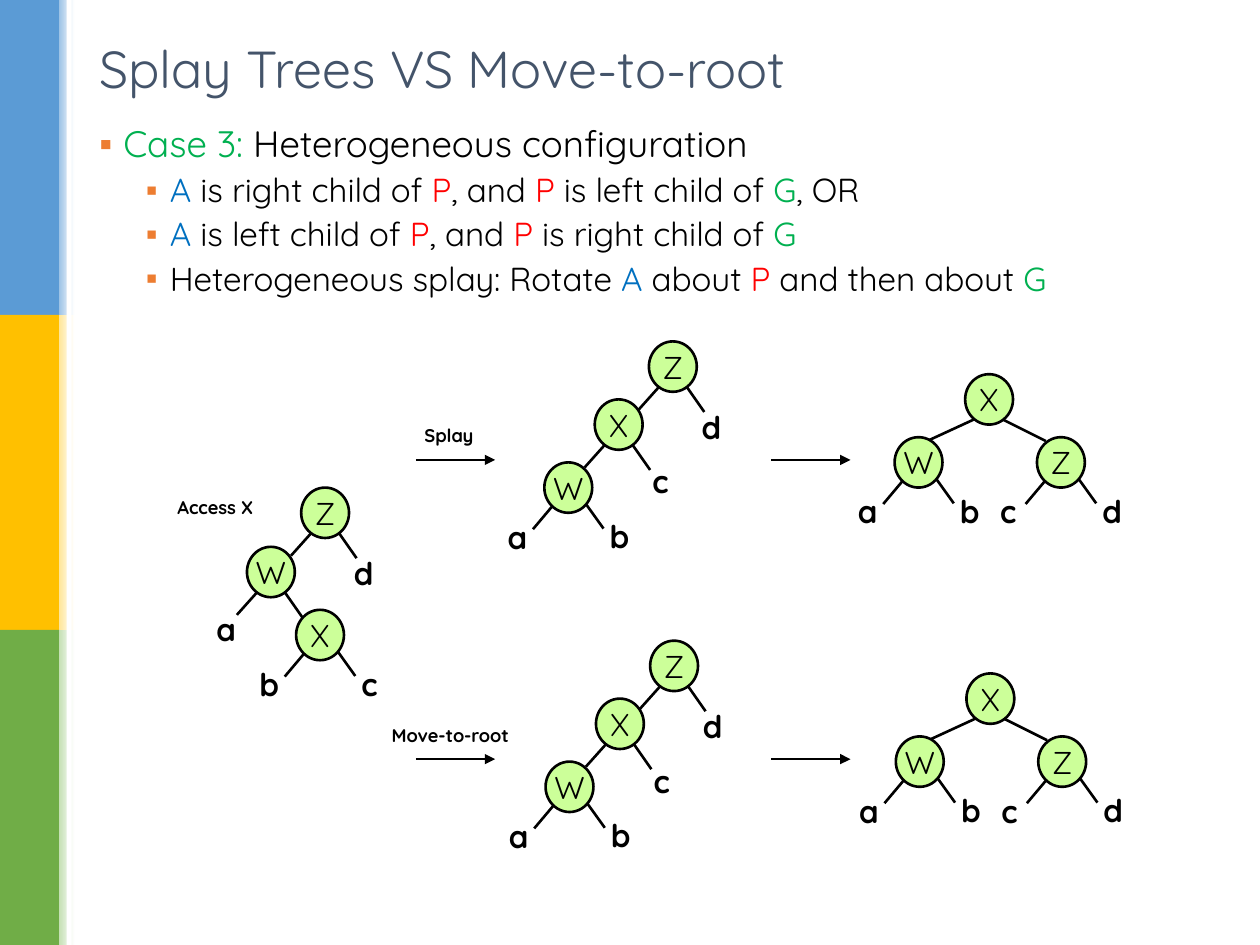
from lxml.etree import SubElement as Sub
from pptx import Presentation
from pptx.dml.color import RGBColor as RGB
from pptx.enum.shapes import MSO_CONNECTOR as LINK, MSO_SHAPE as FORM
from pptx.enum.text import MSO_ANCHOR as ANCHOR, PP_ALIGN as ALIGN
from pptx.oxml.ns import qn
from pptx.util import Inches, Pt

BLACK, WHITE = RGB(0, 0, 0), RGB(255, 255, 255)
SLATE, LIME = RGB(0x44, 0x54, 0x6A), RGB(0xCC, 0xFF, 0x99)
BLUE, RED, GREEN = RGB(0, 0x70, 0xC0), RGB(255, 0, 0), RGB(0, 0xB0, 0x50)
BARS = [
    (RGB(0x5B, 0x9B, 0xD5), RGB(0x9D, 0xC3, 0xE6)),
    (RGB(0xFF, 0xC0, 0x00), RGB(0xFF, 0xE6, 0x99)),
    (RGB(0x70, 0xAD, 0x47), RGB(0xC5, 0xE0, 0xB4)),
]
FONT = "Quicksand"

deck = Presentation()
deck.slide_width, deck.slide_height = Inches(10), Inches(7.5)
CELL = deck.slide_width // 1000  # the slide is a grid of 1000 by 750 cells
slide = deck.slides.add_slide(deck.slide_layouts[6])
shapes = slide.shapes


def write(text, size, left, top, wide, high, bold=True, color=BLACK):
    """Add a one-line text box and return its frame."""
    frame = shapes.add_textbox(left * CELL, top * CELL, wide * CELL, high * CELL).text_frame
    frame.word_wrap = False
    para = frame.paragraphs[0]
    para.text = text
    font = para.font
    font.name, font.size, font.bold = FONT, Pt(size), bold
    font.color.rgb = color
    return frame


def link(left, top, dx, dy, arrow=False):
    """Draw a line from (left, top) that runs dx across and dy down."""
    line = shapes.add_connector(
        LINK.STRAIGHT, left * CELL, top * CELL, (left + dx) * CELL, (top + dy) * CELL
    )
    line.line.color.rgb, line.line.width = BLACK, Pt(1.5)
    props = line._element.spPr
    if arrow:
        Sub(line.line._get_or_add_ln(), qn("a:tailEnd"), type="triangle")
    Sub(props, qn("a:effectLst"))


# Side bars, each with a fading edge, and a white strip over the edges
for row, (deep, pale) in enumerate(BARS):
    for left, wide in ((0, 47), (47, 12)):
        bar = shapes.add_shape(FORM.RECTANGLE, left * CELL, row * 250 * CELL, wide * CELL, 250 * CELL)
        bar.shadow.inherit = False
        bar.line.fill.background()
        if left:
            bar.fill.gradient()
            bar.fill.gradient_angle = 0
            for stop, tint in zip(bar.fill.gradient_stops, (pale, WHITE)):
                stop.color.rgb = tint
        else:
            bar.fill.solid()
            bar.fill.fore_color.rgb = deep
strip = shapes.add_shape(FORM.RECTANGLE, 53 * CELL, 0, 4 * CELL, 750 * CELL)
strip.shadow.inherit = False
strip.fill.solid()
strip.fill.fore_color.rgb = WHITE
strip.line.fill.background()

# Title and bullets
title = write("Splay Trees VS Move-to-root", 29.7, 69, 26, 612, 56, False, SLATE)
title.word_wrap = True
title.vertical_anchor = ANCHOR.MIDDLE

A, P, G = ("A", BLUE), ("P", RED), ("G", GREEN)
BULLETS = [
    (0, [("Case 3: ", GREEN), "Heterogeneous configuration"]),
    (1, [A, " is right child of ", P, ", and ", P, " is left child of ", G, ", OR"]),
    (1, [A, " is left child of ", P, ", and ", P, " is right child of ", G]),
    (1, ["Heterogeneous splay: Rotate ", A, " about ", P, " and then about ", G]),
]
body = shapes.add_textbox(69 * CELL, 95 * CELL, 874 * CELL, 644 * CELL).text_frame
body.word_wrap = True
for row, (level, parts) in enumerate(BULLETS):
    para = body.add_paragraph() if row else body.paragraphs[0]
    para.level = level
    para.line_spacing = 0.9
    para.space_before = Pt(4.8 if row else 0)
    para.font.name, para.font.size = FONT, Pt(19 if level else 21)
    props = para._p.get_or_add_pPr()
    props.set("marL", str((56 if level else 19) * CELL))
    props.set("indent", str(-19 * CELL))
    mark = Sub(props, qn("a:buClr"))
    Sub(mark, qn("a:srgbClr"), val="ED7D31")
    Sub(props, qn("a:buFont"), typeface="Arial")
    Sub(props, qn("a:buChar"), char="▪")
    props.append(props.find(qn("a:defRPr")))  # the schema wants it last
    for part in parts:
        text, color = (part, BLACK) if isinstance(part, str) else part
        run = para.add_run()
        run.text = text
        run.font.name, run.font.size = FONT, para.font.size
        run.font.color.rgb = color

# Trees: node, offset from the root, left and right leaf ("" leads to a node)
START = [("Z", 0, 0, "", "d"), ("W", -43, 47, "a", ""), ("X", -4, 97, "b", "c")]
CHAIN = [("Z", 0, 0, "", "d"), ("X", -43, 46, "", "c"), ("W", -83, 96, "a", "b")]
FINAL = [("X", 0, 0, "", ""), ("W", -56, 50, "a", "b"), ("Z", 57, 50, "c", "d")]
DROP = 237.5  # from the splay row to the move-to-root row
trees = [(START, 239, 387)]
for row in range(2):
    trees += [(CHAIN, 515 + row, 271 + row * DROP), (FINAL, 766 + row, 297 + row * DROP)]
    for left in (330, 612):
        link(left, 365 + row * DROP, 63, 0, arrow=True)

for tree, left, top in trees:
    for name, dx, dy, near, far in tree:
        x, y = left + dx, top + dy
        # branch start and run, left then right, and the places of the leaves
        if near and far:
            sides = [(7, 34, -16, 19), (33, 33, 14, 19.5)]
            spots = [(-39, 39), (42, 38.5)]
        else:
            sides = [(9, 35, -17, 19), (30, 36, 14, 20)]
            spots = [(-34, 45), (32, 48) if name == "Z" else (36, 45)]
        if not near and not far:
            sides = [(9, 35, -38, 17.5), (30, 36, 34, 17)]
        for (ox, oy, run, fall), (lx, ly), leaf in zip(sides, spots, (near, far)):
            link(x + ox, y + oy, run, fall)
            if leaf:
                write(leaf, 18, x + lx, y + ly, 37, 40)
        node = shapes.add_shape(FORM.OVAL, *(int(n * CELL) for n in (x, y, 38, 40)))
        node.shadow.inherit = False
        node.fill.solid()
        node.fill.fore_color.rgb = LIME
        node.line.color.rgb, node.line.width = BLACK, Pt(1.5)
        frame = node.text_frame
        frame.word_wrap = False
        frame.vertical_anchor = ANCHOR.MIDDLE
        para = frame.paragraphs[0]
        para.text, para.alignment = name, ALIGN.CENTER
        para.font.name, para.font.size = FONT, Pt(18)
        para.font.color.rgb = BLACK

for text, left, top, wide in (
    ("Access X", 131, 389, 87),
    ("Splay", 327, 332, 59),
    ("Move-to-root", 301, 570, 115),
):
    write(text, 10.5, left, top, wide, 28)

deck.save("out.pptx")
